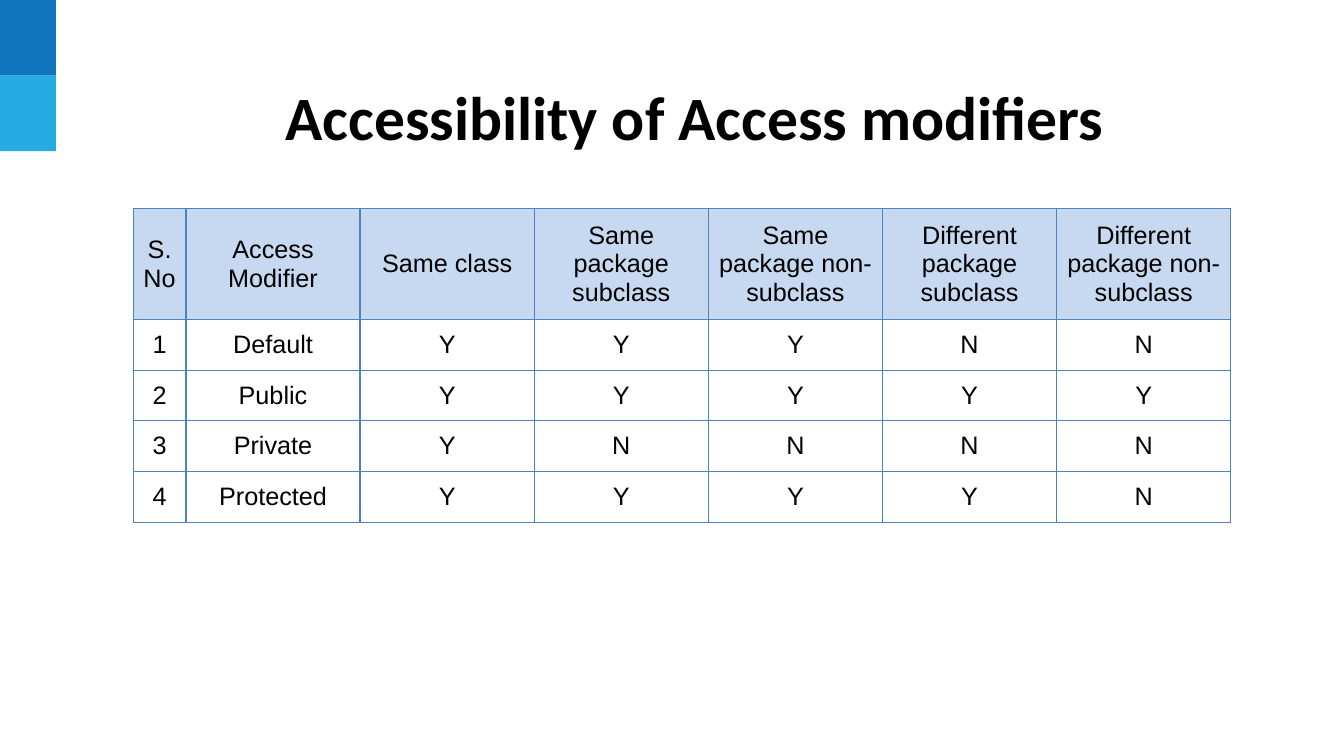
from lxml import etree
from pptx import Presentation
from pptx import util as u
from pptx.dml import color
from pptx.enum import shapes, text
from pptx.oxml import ns

COLORS = {
    "ink": "000000",
    "dark_blue": "0F75BD",
    "light_blue": "25AAE2",
    "header": "C6D9F1",
    "border": "4F81BD",
}
HEADERS = [
    "S. No", "Access Modifier", "Same class",
    "Same package subclass", "Same package non-subclass",
    "Different package subclass", "Different package non-subclass",
]
ACCESS = {
    "Default": "YYYNN",
    "Public": "YYYYY",
    "Private": "YNNNN",
    "Protected": "YYYYN",
}


class Deck:
    columns, rows = 24, 10

    def __init__(self):
        self.prs = Presentation()
        self.prs.slide_width = u.Inches(13.33)
        self.prs.slide_height = u.Inches(7.5)
        self.slide = self.prs.slides.add_slide(self.prs.slide_layouts[6])

    def x(self, columns):
        return round(self.prs.slide_width * columns / self.columns)

    def y(self, rows):
        return round(self.prs.slide_height * rows / self.rows)

    def box(self, left, top, width, height):
        return self.x(left), self.y(top), self.x(width), self.y(height)

    def rgb(self, name):
        return color.RGBColor.from_string(COLORS[name])

    def block(self, left, top, width, height, fill):
        sp = self.slide.shapes.add_shape(
            shapes.MSO_SHAPE.RECTANGLE, *self.box(left, top, width, height))
        sp.shadow.inherit = False
        sp.fill.solid()
        sp.fill.fore_color.rgb = self.rgb(fill)
        sp.line.fill.background()

    def run(self, tf, words, font, size, bold=False):
        p = tf.paragraphs[0]
        p.alignment = text.PP_ALIGN.CENTER
        r = p.add_run()
        r.text = words
        r.font.name = font
        r.font.size = u.Pt(size)
        r.font.bold = bold
        r.font.color.rgb = self.rgb("ink")

    def title(self, left, top, width, height, words):
        sp = self.slide.shapes.add_textbox(*self.box(left, top, width, height))
        tf = sp.text_frame
        tf.word_wrap = True
        tf.vertical_anchor = text.MSO_ANCHOR.MIDDLE
        self.run(tf, words, "Calibri", 44, bold=True)

    def borders(self, cell):
        tc_pr = cell._tc.get_or_add_tcPr()
        for i, side in enumerate(("lnL", "lnR", "lnT", "lnB")):
            ln = etree.Element(ns.qn(f"a:{side}"), w=str(u.Pt(1)))
            fill = etree.SubElement(ln, ns.qn("a:solidFill"))
            etree.SubElement(fill, ns.qn("a:srgbClr"), val=COLORS["border"])
            tc_pr.insert(i, ln)

    def cell(self, cell, words, fill=None):
        cell.margin_top = cell.margin_bottom = u.Inches(0.1)
        cell.margin_left = cell.margin_right = u.Inches(0.09)
        cell.vertical_anchor = text.MSO_ANCHOR.MIDDLE
        if fill:
            cell.fill.solid()
            cell.fill.fore_color.rgb = self.rgb(fill)
        else:
            cell.fill.background()
        self.borders(cell)
        self.run(cell.text_frame, words, "Arial", 18)

    def table(self, left, top, widths, heights, data):
        frame = self.slide.shapes.add_table(
            len(heights), len(widths),
            *self.box(left, top, sum(widths), sum(heights)))
        table = frame.table
        table.first_row = table.horz_banding = False
        for column, width in zip(table.columns, widths):
            column.width = self.x(width)
        for row, height in zip(table.rows, heights):
            row.height = self.y(height)
        for i, line in enumerate(data):
            for j, words in enumerate(line):
                self.cell(table.cell(i, j), words, None if i else "header")


def main():
    deck = Deck()
    for row, fill in enumerate(("dark_blue", "light_blue")):
        deck.block(0, row, 1, 1, fill)
    deck.title(4.54, 0.91, 15.75, 1.24, "Accessibility of Access modifiers")
    body = [[str(number), modifier, *marks]
            for number, (modifier, marks) in enumerate(ACCESS.items(), 1)]
    deck.table(2.38, 2.76, [0.94] + [3.11] * 6, [1.2] + [0.67] * 4,
               [HEADERS, *body])
    deck.prs.save("out.pptx")


if __name__ == "__main__":
    main()
